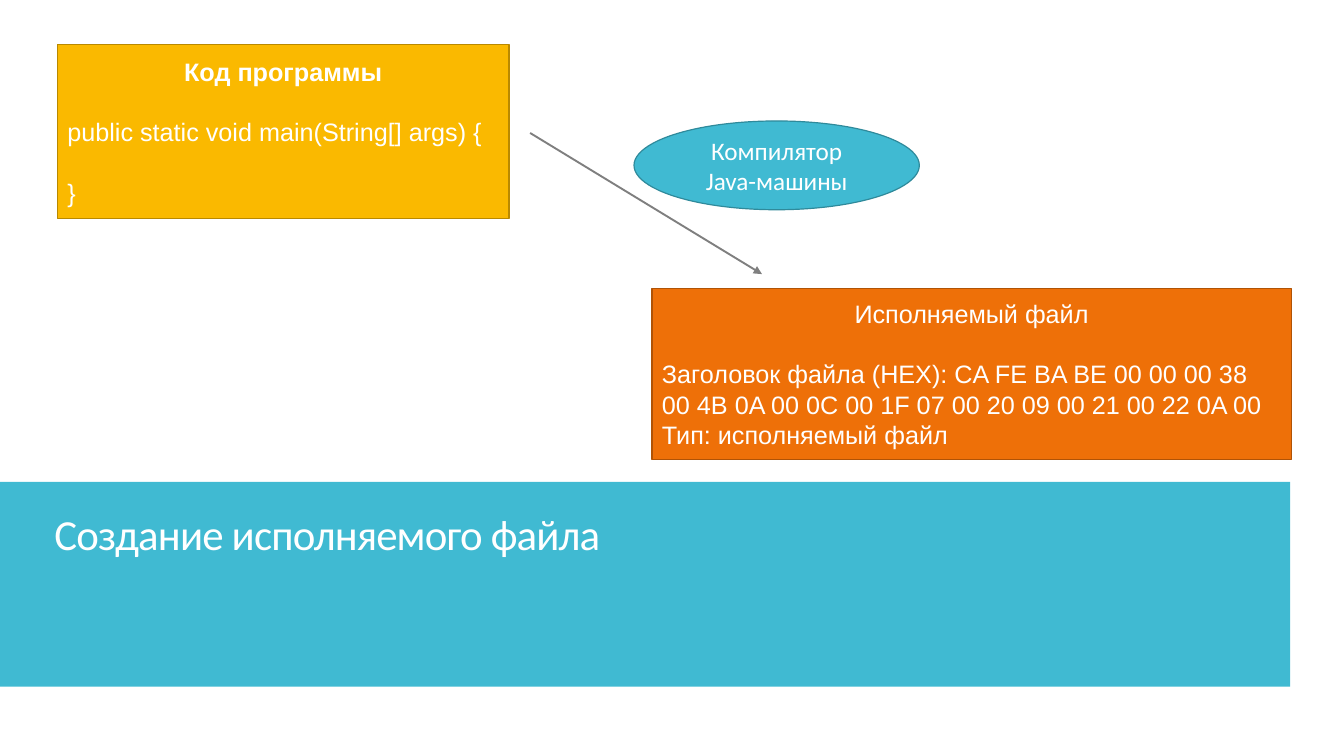
from lxml.etree import SubElement
from pptx import Presentation
from pptx.dml.color import RGBColor
from pptx.enum.shapes import MSO_CONNECTOR, MSO_SHAPE
from pptx.enum.text import MSO_ANCHOR, MSO_AUTO_SIZE, PP_ALIGN
from pptx.oxml.ns import qn
from pptx.util import Pt

WHITE = RGBColor(0xFF, 0xFF, 0xFF)
BLACK = RGBColor(0x00, 0x00, 0x00)
TEAL = RGBColor(0x40, 0xBA, 0xD2)
TEAL_EDGE = RGBColor(0x2F, 0x8A, 0x9B)
YELLOW = RGBColor(0xFA, 0xB9, 0x00)
YELLOW_EDGE = RGBColor(0xB9, 0x89, 0x00)
ORANGE = RGBColor(0xEE, 0x70, 0x08)
ORANGE_EDGE = RGBColor(0xB0, 0x53, 0x06)
LINE_PITCH = 21.6


def write(para, text, font="Arial", size=18, bold=False, align=PP_ALIGN.LEFT, spacing=None, before=0):
    para.alignment = align
    para.space_before = Pt(before)
    para.space_after = Pt(0)
    para.line_spacing = spacing
    span = para.add_run()
    span.text = text
    span.font.name = font
    span.font.size = Pt(size)
    span.font.bold = bold
    span.font.color.rgb = WHITE
    return span


def add_box(kind, place, fill, edge=None):
    box = page.shapes.add_shape(kind, *[Pt(length) for length in place])
    box.shadow.inherit = False
    box.fill.solid()
    box.fill.fore_color.rgb = fill
    if edge is None:
        box.line.fill.background()
    else:
        box.line.color.rgb = edge
        box.line.width = Pt(0.85)
    box.text_frame.word_wrap = True
    box.text_frame.vertical_anchor = MSO_ANCHOR.MIDDLE
    return box


deck = Presentation()
deck.slide_width, deck.slide_height = Pt(960), Pt(540)
page = deck.slides.add_slide(deck.slide_layouts[5])

band = add_box(MSO_SHAPE.RECTANGLE, (0, 344.2, 921.6, 146.2), TEAL)

title = page.shapes.title
band.element.addnext(title.element)
title.left, title.top, title.width, title.height = Pt(31.7), Pt(365.8), Pt(561.6), Pt(36)
title.text_frame.word_wrap = True
title.text_frame.auto_size = MSO_AUTO_SIZE.NONE
title.text_frame.vertical_anchor = MSO_ANCHOR.BOTTOM
heading = write(title.text_frame.paragraphs[0], "Создание исполняемого файла",
                font="Calibri", size=30.6, spacing=0.7)
heading.font._element.set("spc", "-60")

panels = [
    ((41, 31.7, 322.6, 124.6), YELLOW, YELLOW_EDGE, True, "Код программы",
     [("public static void main(String[] args) {", LINE_PITCH), ("}", LINE_PITCH)]),
    ((465.8, 205.9, 456.5, 122.4), ORANGE, ORANGE_EDGE, False, "Исполняемый файл",
     [("Заголовок файла (HEX):\u00a0CA FE BA BE 00 00 00 38 00 4B 0A 00 0C 00 1F 07 00 20 09 00 21 00 22 0A 00",
       LINE_PITCH), ("Тип: исполняемый файл", 0)]),
]
for place, fill, edge, bold, caption, lines in panels:
    frame = add_box(MSO_SHAPE.RECTANGLE, place, fill, edge).text_frame
    write(frame.paragraphs[0], caption, bold=bold, align=PP_ALIGN.CENTER, spacing=Pt(LINE_PITCH))
    for text, gap in lines:
        write(frame.add_paragraph(), text, spacing=Pt(LINE_PITCH), before=gap)

arrow = page.shapes.add_connector(MSO_CONNECTOR.STRAIGHT, Pt(378.7), Pt(95), Pt(544.3), Pt(195.8))
arrow.line.color.rgb = BLACK
arrow.line.width = Pt(1.35)
arrow_format = arrow.element.spPr
outline = arrow_format.find(qn("a:ln"))
SubElement(outline.find(qn("a:solidFill"))[0], qn("a:alpha"), val="50000")
SubElement(outline, qn("a:tailEnd"), type="triangle")
SubElement(arrow_format, qn("a:effectLst"))

compiler = add_box(MSO_SHAPE.OVAL, (452.9, 86.4, 203.8, 63.4), TEAL, TEAL_EDGE)
write(compiler.text_frame.paragraphs[0], "Компилятор Java-машины", font="Calibri", align=PP_ALIGN.CENTER)

deck.save("out.pptx")
